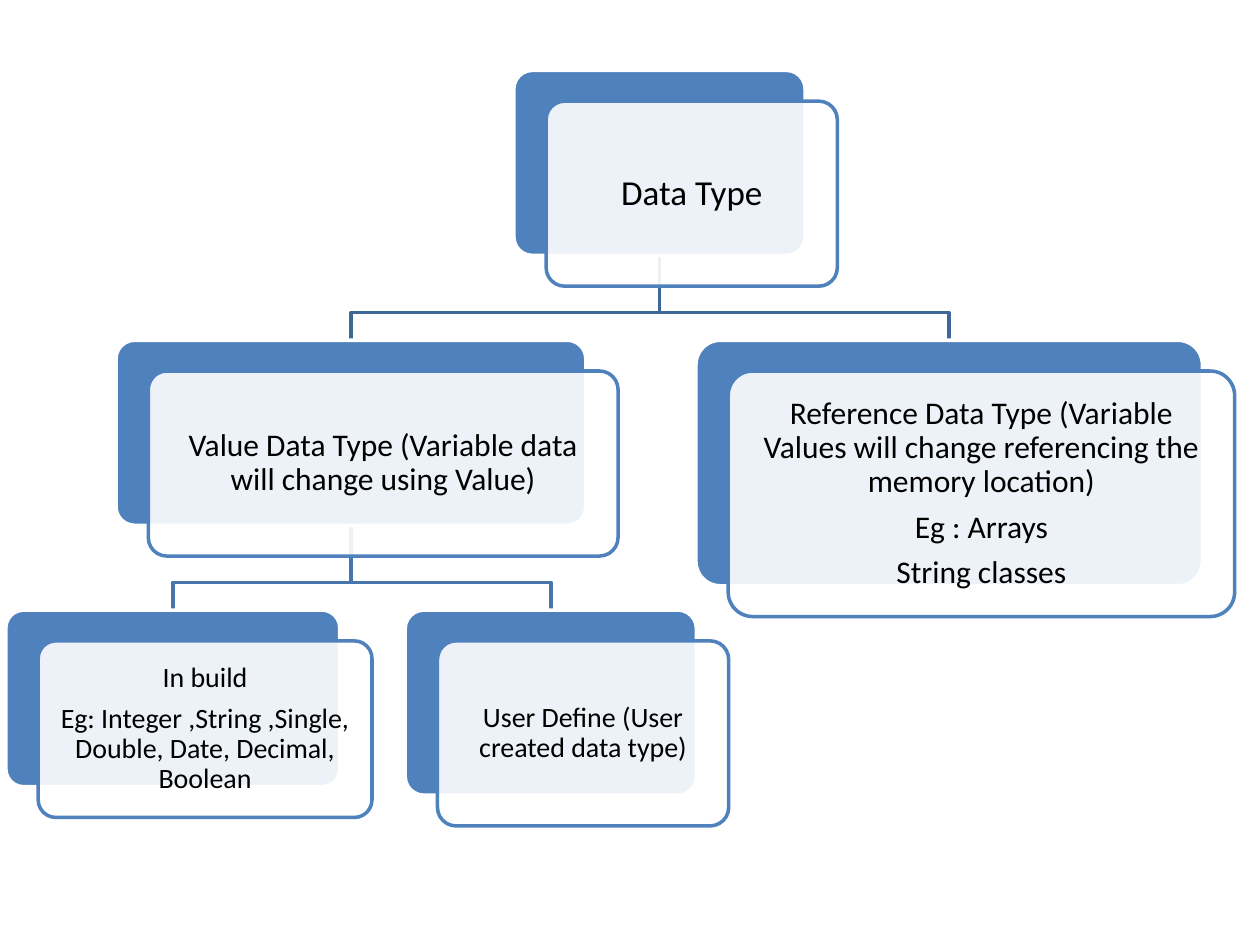
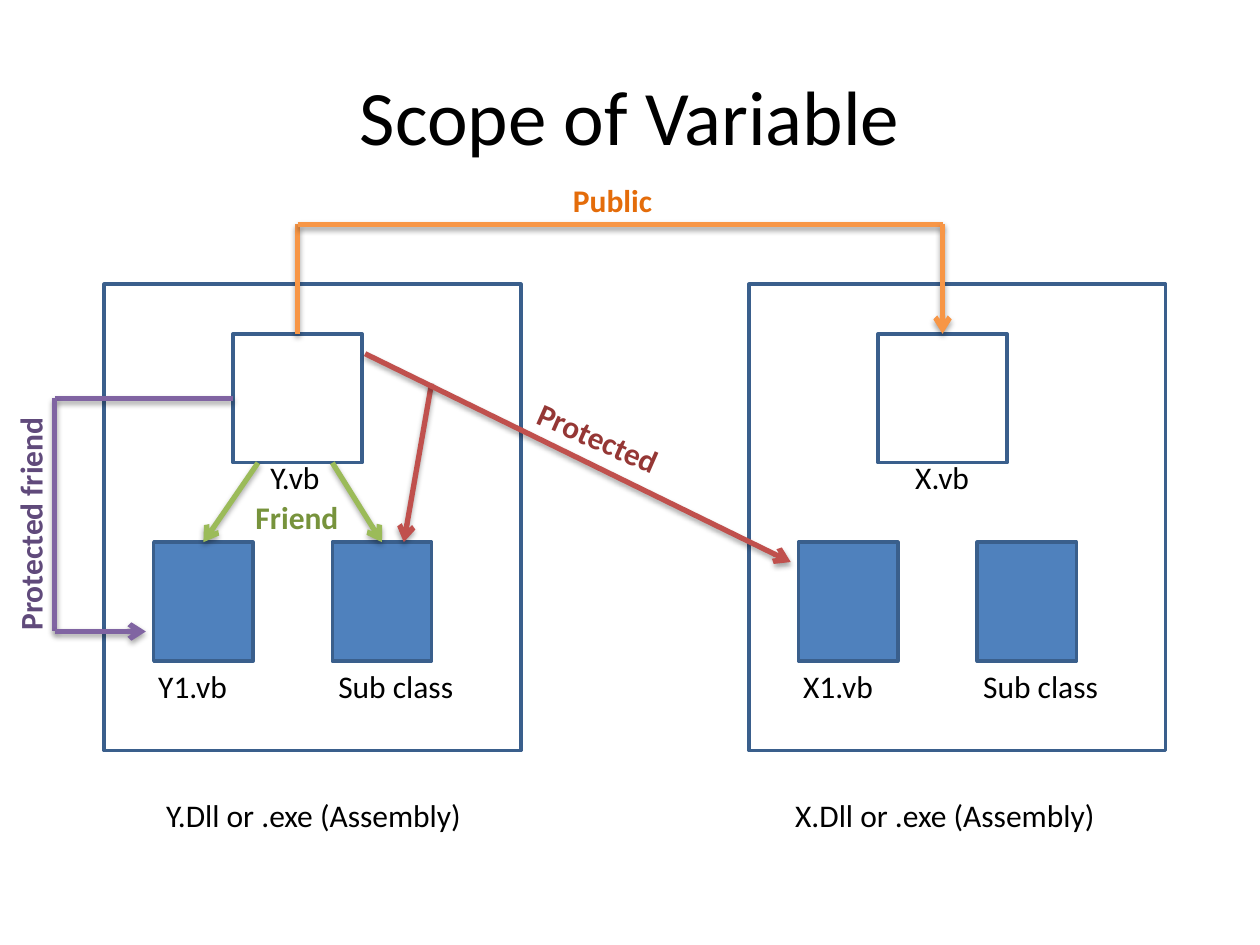
"""Build two slides: a tree of data types and a diagram of variable scope."""
import lxml.etree
import pptx
import pptx.dml.color
import pptx.enum.shapes
import pptx.enum.text
import pptx.oxml.ns
import pptx.util

Cm = pptx.util.Cm
Pt = pptx.util.Pt
RGB = pptx.dml.color.RGBColor.from_string
qn = pptx.oxml.ns.qn
Kind = pptx.enum.shapes.MSO_SHAPE
Align = pptx.enum.text.PP_ALIGN
Anchor = pptx.enum.text.MSO_ANCHOR
Fit = pptx.enum.text.MSO_AUTO_SIZE


class Theme:
    font = "Calibri"
    black, white, blue = "000000", "FFFFFF", "4F81BD"
    edge, stem, twig = "3A5F8C", "3F6797", "4875AC"
    orange, green, purple, red = "F79646", "9BBB59", "8064A2", "C0504D"
    rust, moss, plum, wine = "E46C0A", "77933C", "604A7B", "953735"
    title, large, body, small = 44, 20, 18, 16
    thin, thick = 2, 3


def block(slide, kind, place, fill, line):
    shape = slide.shapes.add_shape(kind, *map(Cm, place))
    shape.shadow.inherit = False
    if fill:
        shape.fill.solid()
        shape.fill.fore_color.rgb = RGB(fill)
    else:
        shape.fill.background()
    shape.line.color.rgb = RGB(line)
    shape.line.width = Pt(Theme.thin)
    return shape


def write(shape, text, size, color=Theme.black, bold=False, align=Align.LEFT):
    frame = shape.text_frame
    frame.text = text
    for para in frame.paragraphs:
        para.alignment = align
        for run in para.runs:
            run.font.name = Theme.font
            run.font.size = Pt(size)
            run.font.bold = bold
            run.font.color.rgb = RGB(color)
    return frame


deck = pptx.Presentation()
deck.slide_width, deck.slide_height = Cm(25.4), Cm(19.05)
blank = deck.slide_layouts[6]

tree = deck.slides.add_slide(blank)
top, pitch, bend = 1.42, 5.44, 0.56
shift, drop = 0.65, 0.62
side, rim = 0.27, 0.18
nodes = {
    "root": (10.36, 0, 5.87, 3.73, Theme.large, "Data Type"),
    "value": (2.34, 1, 9.47, 3.73, Theme.body,
              "Value Data Type (Variable data will change using Value)"),
    "built": (0.12, 2, 6.73, 3.56, Theme.small,
              "In build\nEg: Integer ,String ,Single, Double, Date, Decimal, Boolean"),
    "user": (8.17, 2, 5.87, 3.73, Theme.small,
             "User Define (User created data type)"),
    "ref": (14.03, 1, 10.21, 4.95, Theme.body,
            "Reference Data Type (Variable Values will change referencing "
            "the memory location)\nEg : Arrays\nString classes"),
}
edges = [
    ("root", "ref", Theme.stem), ("value", "user", Theme.twig),
    ("value", "built", Theme.twig), ("root", "value", Theme.stem),
]
for start, end, color in edges:
    left, row, width, height = nodes[start][:4]
    begin = left + width / 2
    base = top + row * pitch + height
    left, row, width = nodes[end][:3]
    mid = left + width / 2
    head = top + row * pitch
    pen = tree.shapes.build_freeform(Cm(begin), Cm(base))
    points = [(begin, head - bend), (mid, head - bend), (mid, head)]
    pen.add_line_segments([(Cm(x), Cm(y)) for x, y in points], close=False)
    elbow = pen.convert_to_shape()
    elbow.shadow.inherit = False
    elbow.fill.background()
    elbow.line.color.rgb = RGB(color)
    elbow.line.width = Pt(Theme.thin)

for left, row, width, height, size, text in nodes.values():
    y = top + row * pitch
    back = block(tree, Kind.ROUNDED_RECTANGLE, (left, y, width, height),
                 Theme.blue, Theme.white)
    front = block(tree, Kind.ROUNDED_RECTANGLE,
                  (left + shift, y + drop, width, height), Theme.white, Theme.blue)
    back.adjustments[0] = front.adjustments[0] = 0.1
    tint = front.element.spPr.find(qn("a:solidFill"))[0]
    lxml.etree.SubElement(tint, qn("a:alpha"), val="90000")
    frame = write(front, text, size, align=Align.CENTER)
    frame.word_wrap = True
    frame.vertical_anchor = Anchor.MIDDLE
    frame.margin_left = frame.margin_right = Cm(side)
    frame.margin_top = frame.margin_bottom = Cm(rim)
    for para in frame.paragraphs:
        para.line_spacing = 0.9
        para.space_after = Pt(size * 0.35)

scope = deck.slides.add_slide(blank)
title = scope.shapes.add_textbox(Cm(1.27), Cm(0.72), Cm(22.86), Cm(3.18))
frame = write(title, "Scope of Variable", Theme.title, align=Align.CENTER)
frame.word_wrap = True
frame.vertical_anchor = Anchor.MIDDLE

labels = []
parts = {}
for name, x in (("Y", 0), ("X", 13)):
    block(scope, Kind.RECTANGLE, (2.1 + x, 5.73, 8.4, 9.4), None, Theme.edge)
    parts[name] = block(scope, Kind.RECTANGLE, (4.7 + x, 6.73, 2.6, 2.6),
                        None, Theme.edge)
    for key, left in (("1", 3.1), ("sub", 6.7)):
        parts[name + key] = block(scope, Kind.RECTANGLE, (left + x, 10.93, 2, 2.4),
                                  Theme.blue, Theme.edge)
    labels += [
        (f"{name}.vb", 5.2 + x, 9.1, 2.15, 0, Theme.black, True),
        (f"{name}1.vb", 2.94 + x, 13.32, 2.15, 0, Theme.black, True),
        ("Sub class", 6.57 + x, 13.32, 3.12, 0, Theme.black, True),
    ]

links = [
    (6, 6.73, 6, 4.52, Theme.orange, False, ("Y", 0), None),
    (6, 4.52, 19, 4.52, Theme.orange, False, None, None),
    (19, 4.52, 19, 6.73, Theme.orange, True, None, ("X", 0)),
    (5.2, 9.33, 4.1, 10.93, Theme.green, True, None, ("Y1", 0)),
    (6.7, 9.33, 7.7, 10.93, Theme.green, True, None, ("Ysub", 0)),
    (4.7, 8.03, 1.1, 8.03, Theme.purple, False, ("Y", 1), None),
    (1.1, 8.03, 1.1, 12.73, Theme.purple, False, None, None),
    (1.1, 12.73, 2.94, 12.73, Theme.purple, True, None, None),
    (8.7, 7.73, 8.14, 10.93, Theme.red, True, None, None),
    (7.36, 7.13, 15.94, 11.33, Theme.red, True, None, None),
]
for *ends, color, arrow, start, end in links:
    link = scope.shapes.add_connector(
        pptx.enum.shapes.MSO_CONNECTOR.STRAIGHT, *map(Cm, ends))
    if start:
        link.begin_connect(parts[start[0]], start[1])
    if end:
        link.end_connect(parts[end[0]], end[1])
    link.line.color.rgb = RGB(color)
    link.line.width = Pt(Theme.thick)
    props = link.element.spPr
    if arrow:
        lxml.etree.SubElement(props.find(qn("a:ln")), qn("a:tailEnd"), type="arrow")
    effect = lxml.etree.SubElement(props, qn("a:effectLst"))
    shade = lxml.etree.SubElement(effect, qn("a:outerShdw"), blurRad="40000",
                                  dist="23000", dir="5400000", rotWithShape="0")
    tone = lxml.etree.SubElement(shade, qn("a:srgbClr"), val=Theme.black)
    lxml.etree.SubElement(tone, qn("a:alpha"), val="35000")

labels += [
    ("Protected", 10.52, 8.32, 3.1, 23.8, Theme.wine, False),
    ("Public", 11.3, 3.53, 2.11, 0, Theme.rust, False),
    ("Friend", 4.9, 9.91, 2.97, 0, Theme.moss, True),
    ("Protected friend", -1.88, 9.96, 4.98, 270, Theme.plum, False),
    ("Y.Dll or .exe (Assembly)", 3.1, 15.92, 6.53, 0, Theme.black, False),
    ("X.Dll or .exe (Assembly)", 15.78, 15.92, 6.63, 0, Theme.black, False),
]
for text, left, y, width, turn, color, wrap in labels:
    label = scope.shapes.add_textbox(Cm(left), Cm(y), Cm(width), Cm(1.02))
    label.rotation = turn
    frame = write(label, text, Theme.body, color, bold=color != Theme.black)
    frame.word_wrap = wrap
    frame.auto_size = Fit.SHAPE_TO_FIT_TEXT

deck.save("out.pptx")
